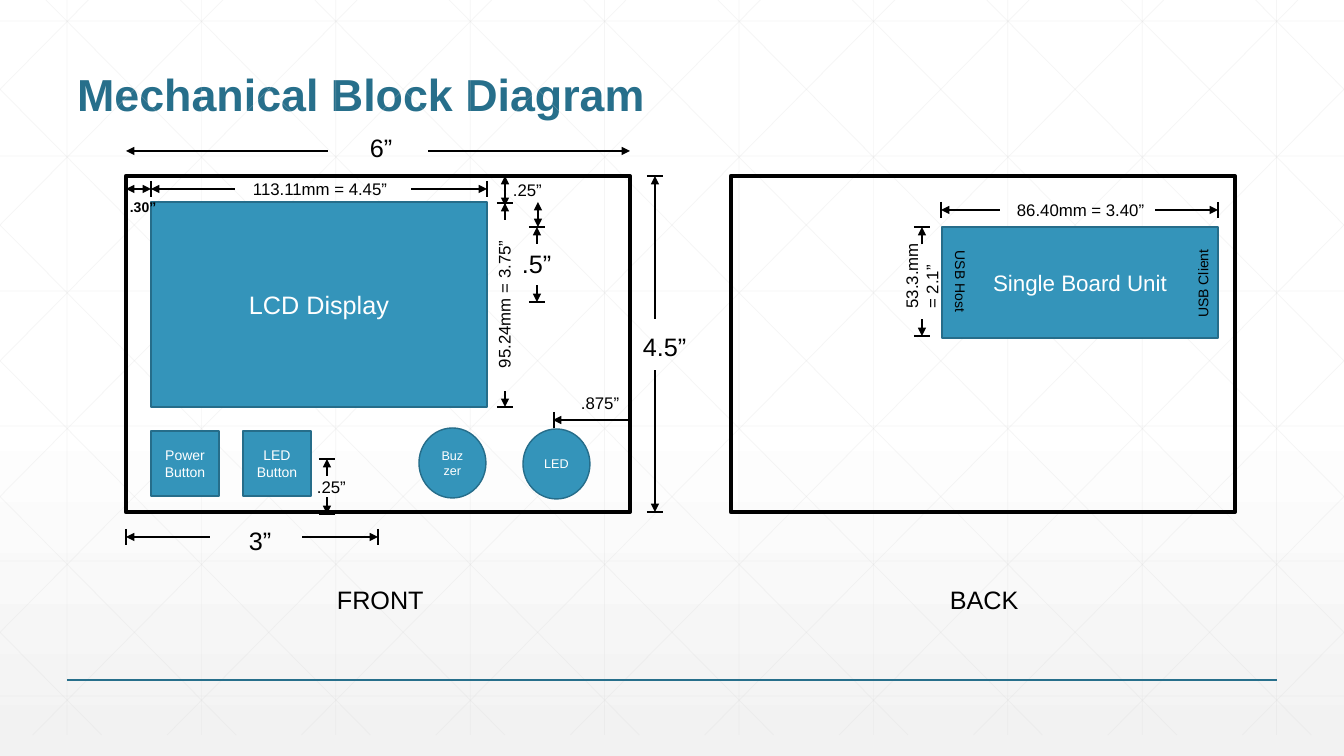
from lxml.etree import SubElement
from pptx import Presentation
from pptx.dml.color import RGBColor
from pptx.enum.shapes import MSO_CONNECTOR, MSO_SHAPE
from pptx.enum.text import MSO_ANCHOR, MSO_AUTO_SIZE, PP_ALIGN
from pptx.oxml.ns import qn
from pptx.util import Pt

COLORS = {"title": "276F8B", "part": "3494BA", "edge": "266D8A", "ink": "000000",
          "white": "FFFFFF", "fade": "F2F2F2", "grid": "D9D9D9"}
FONT = "Arial"
SCALE = 914400 / 100.8
WIDTH, HEIGHT = 1344, 756
GRID_BOTTOM, GRID_STEP, GRID_SLANT = 735, 134.4, 0.99
TICK = 8

TITLE = "Mechanical Block Diagram"
CASES = [(126, 176, 504, 336), (731, 176, 504, 336)]

# text, kind, box, size
PARTS = [
    ("Power Button", "RECTANGLE", (151, 431, 68, 65), 10),
    ("LED Button", "RECTANGLE", (243, 431, 68, 65), 10),
    ("LCD Display", "RECTANGLE", (151, 202, 336, 205), 18),
    ("Single Board Unit", "RECTANGLE", (942, 227, 276, 111), 16),
    ("Buzzer", "OVAL", (419, 428, 67, 70), 9),
    ("LED", "OVAL", (523, 429, 67, 70), 9),
]

# axis, position across, outer start, inner start, inner end, outer end, ticks
DIMENSIONS = [
    ("h", 151, 126, 328, 428, 630, False),
    ("v", 655, 176, 319, 370, 512, True),
    ("h", 537, 126, 210, 302, 378, True),
    ("v", 537, 227, 244, 285, 302, True),
    ("v", 538, 202, 222, 210, 227, False),
    ("v", 505, 203, 220, 391, 407, True),
    ("v", 505, 176, 197, 188, 206, False),
    ("h", 189, 151, 235, 411, 487, True),
    ("h", 189, 126, 139, 139, 151, False),
    ("h", 210, 941, 1000, 1155, 1218, True),
    ("v", 922, 227, 244, 319, 336, True),
    ("v", 327, 459, 476, 497, 514, True),
]

# text, box, size, rotation, wrap, bold
LABELS = [
    ("6”", (360, 127, 43, 40), 18, 0, False, False),
    ("4.5”", (633, 326, 64, 40), 18, 0, False, False),
    ("3”", (239, 520, 43, 40), 18, 0, False, False),
    (".5”", (512, 243, 51, 40), 18, 0, False, False),
    ("FRONT", (327, 579, 108, 40), 18, 0, False, False),
    ("BACK", (940, 579, 90, 40), 18, 0, False, False),
    (".25”", (503, 175, 49, 30), 12, 0, False, False),
    (".25”", (307, 472, 49, 30), 12, 0, False, False),
    (".875”", (571, 388, 59, 30), 12, 0, False, False),
    (".30”", (120, 194, 48, 27), 10, 0, True, True),
    ("113.11mm = 4.45”", (243, 174, 169, 30), 12, 0, True, False),
    ("86.40mm = 3.40”", (1007, 195, 169, 30), 12, 0, True, False),
    ("95.24mm = 3.75”", (426, 285, 156, 30), 12, 270, True, False),
    ("53.3.mm = 2.1”", (878, 250, 87, 50), 12, 270, True, False),
    ("USB Client", (1158, 269, 90, 27), 10, 270, False, False),
    ("USB Host", (919, 269, 83, 27), 10, 90, False, False),
]


def color(name):
    """Return a named colour."""
    return RGBColor.from_string(COLORS[name])


def emu(*pixels):
    """Turn pixels into a list of EMU."""
    return [round(pixel * SCALE) for pixel in pixels]


def write(shape, text, size, ink, bold=False, align=PP_ALIGN.LEFT):
    """Put one formatted run into a shape."""
    para = shape.text_frame.paragraphs[0]
    para.alignment = align
    span = para.add_run()
    span.text = text
    span.font.name, span.font.size, span.font.bold = FONT, Pt(size), bold
    span.font.color.rgb = color(ink)
    return para


def add_line(start, end, ink="ink", weight=1, arrow=False, alpha=None):
    """Draw a line, with an optional arrowhead at its start."""
    line = page.shapes.add_connector(MSO_CONNECTOR.STRAIGHT, *emu(*start, *end))
    line.line.color.rgb = color(ink)
    line.line.width = Pt(weight)
    properties = line.line._get_or_add_ln()
    if arrow:
        SubElement(properties, qn("a:headEnd"), type="triangle")
    if alpha:
        fill = properties.find(qn("a:solidFill"))
        SubElement(fill[0], qn("a:alpha"), val=str(alpha * 1000))
    SubElement(line._element.spPr, qn("a:effectLst"))


def add_grid():
    """Draw the faint background of upright, level and slanted lines."""
    lines = []
    for column in range(10):
        x = 67 + column * GRID_STEP
        lines.append(((x, 0), (x, GRID_BOTTOM)))
    for row in range(6):
        y = 21 + row * 135
        lines.append(((0, y), (WIDTH, y)))
    for column in range(-5, 10):
        top = 46 + column * GRID_STEP
        left, right = max(top, 0), min(top + GRID_BOTTOM * GRID_SLANT, WIDTH)
        upper, lower = (left - top) / GRID_SLANT, (right - top) / GRID_SLANT
        lines.append(((left, upper), (right, lower)))
        lines.append(((WIDTH - left, upper), (WIDTH - right, lower)))
    for start, end in lines:
        add_line(start, end, "grid", 0.5, alpha=25)


def add_tick(axis, across, along):
    """Draw a short end mark square to a dimension."""
    ends = [(along, across - TICK), (along, across + TICK)]
    add_line(*(ends if axis == "h" else [end[::-1] for end in ends]))


def add_dimension(axis, across, start, inner_start, inner_end, end, ticks):
    """Draw two outward arrows and, if wanted, their end marks."""
    for tip, root in ((start, inner_start), (end, inner_end)):
        ends = [(tip, across), (root, across)]
        add_line(*(ends if axis == "h" else [point[::-1] for point in ends]), arrow=True)
        if ticks:
            add_tick(axis, across, tip)


def add_part(kind, box, edge, weight):
    """Add an outlined, unfilled shape."""
    shape = page.shapes.add_shape(MSO_SHAPE[kind], *emu(*box))
    shape.shadow.inherit = False
    shape.fill.background()
    shape.line.color.rgb = color(edge)
    shape.line.width = Pt(weight)
    return shape


deck = Presentation()
deck.slide_width, deck.slide_height = emu(WIDTH, HEIGHT)
page = deck.slides.add_slide(deck.slide_layouts[5])

backdrop = page.background.fill
backdrop.gradient()
backdrop.gradient_angle = 270
for stop, (position, name) in zip(backdrop.gradient_stops, [(0.53, "white"), (1, "fade")]):
    stop.position = position
    stop.color.rgb = color(name)

add_grid()
add_line((67, 680), (1277, 680), "title")

title = page.shapes.title
title.left, title.top, title.width, title.height = emu(67, 25, 1210, 101)
title.text_frame.auto_size = MSO_AUTO_SIZE.NONE
title.text_frame.vertical_anchor = MSO_ANCHOR.BOTTOM
write(title, TITLE, 32, "title", bold=True).line_spacing = 0.9

for box in CASES:
    add_part("RECTANGLE", box, "ink", 3)
for text, kind, box, size in PARTS:
    part = add_part(kind, box, "edge", 1)
    part.fill.solid()
    part.fill.fore_color.rgb = color("part")
    part.text_frame.word_wrap = True
    part.text_frame.vertical_anchor = MSO_ANCHOR.MIDDLE
    write(part, text, size, "white", align=PP_ALIGN.CENTER)

for dimension in DIMENSIONS:
    add_dimension(*dimension)
add_line((553, 420), (630, 420), arrow=True)
add_tick("h", 420, 554)

for text, box, size, rotation, wrap, bold in LABELS:
    label = page.shapes.add_textbox(*emu(*box))
    label.rotation = rotation
    label.text_frame.word_wrap = wrap
    write(label, text, size, "ink", bold)

deck.save("out.pptx")
